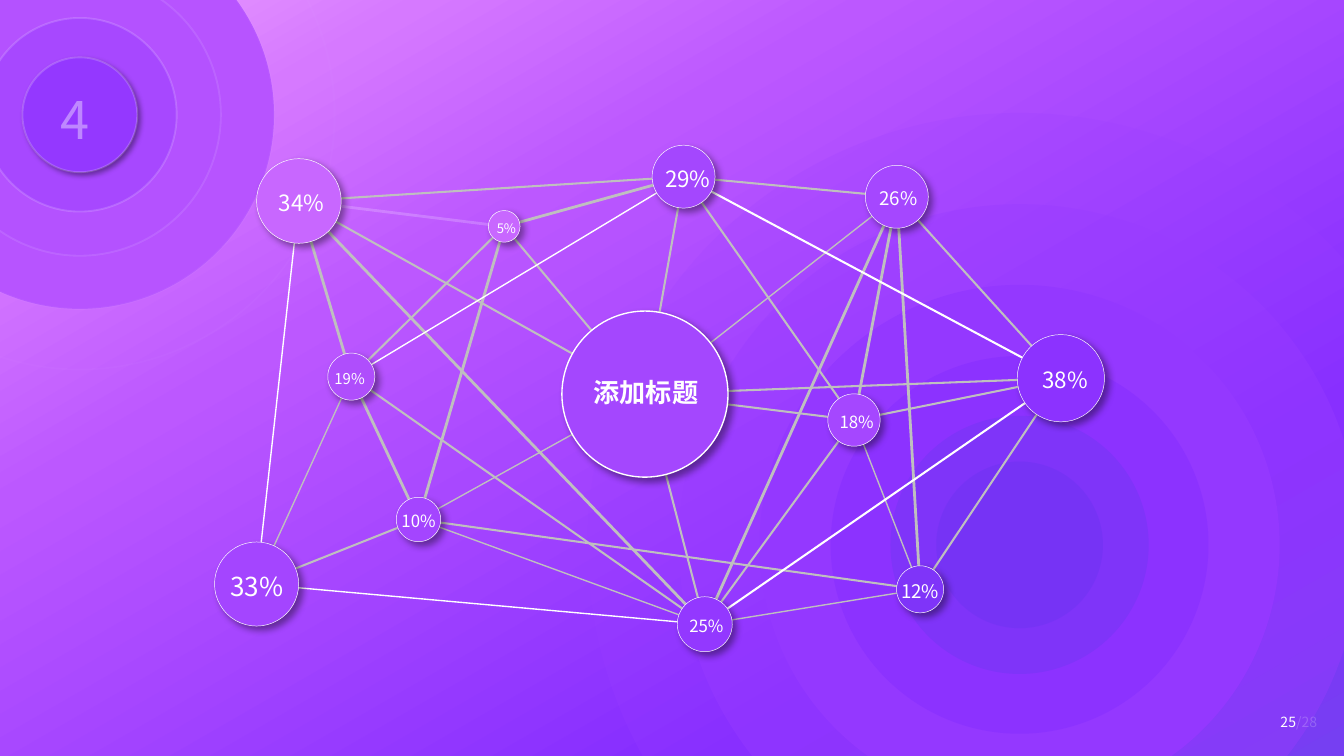
from dataclasses import dataclass
from pptx import Presentation
from pptx.dml.color import RGBColor
from pptx.enum.shapes import MSO_CONNECTOR, MSO_SHAPE
from pptx.enum.text import MSO_ANCHOR, MSO_AUTO_SIZE, PP_ALIGN
from pptx.oxml import parse_xml
from pptx.oxml.ns import nsdecls, qn
from pptx.util import Cm, Pt

OVAL, RECTANGLE = MSO_SHAPE.OVAL, MSO_SHAPE.RECTANGLE
STRAIGHT = MSO_CONNECTOR.STRAIGHT
CENTER, LEFT = PP_ALIGN.CENTER, PP_ALIGN.LEFT
MIDDLE = MSO_ANCHOR.MIDDLE
NO_FIT = MSO_AUTO_SIZE.NONE


@dataclass(frozen=True)
class Theme:
    font: str = "Noto Sans CJK SC"
    white: str = "FFFFFF"
    gray: str = "BFBFBF"
    gradient: tuple = ((0, "ECA3FF"), (16, "D679FF"), (33, "BC58FF"),
                       (77, "832BFF"), (100, "6D3FEF"))
    gradient_angle: int = 60
    chapter_size: float = 28
    title_size: float = 14
    page_size: float = 7.5
    fine: float = 0.75
    medium: float = 1.1
    bold: float = 1.5


THEME = Theme()
WIDTH, HEIGHT = 25.4, 14.29
TITLE, CHAPTER = "添加标题", "4"
PAGE_NUMBER = (("25", 100), ("/28", 20))

CHAPTER_CENTER = (1.51, 2.17)
CHAPTER_RINGS = [(7.34, "B754FF", 4), (5.33, "B452FF", 9), (3.66, "A748FF", 16),
                 (2.17, "9438FF", 18), (9.63, None, 2)]
TARGET_CENTER = (19.27, 10.3)
TARGET_RINGS = [(16.33, "9C3FFF", 20), (12.88, "993CFF", 40), (9.83, "9438FF", 100),
                (7.14, "872EFF", 60), (4.88, "7736F6", 60), (3.15, "6933F1", 40)]

HUB = (12.19, 7.45, 3.14, "A447FE")
NODES = {
    "38%": (20.05, 7.15, 1.65, "8C32FF", 12, 1.7, 0.08),
    "29%": (12.92, 3.34, 1.19, "A447FE", 12, 1.55, 0.08),
    "33%": (4.85, 11.04, 1.59, "A445FF", 14, 1.75, 0.01),
    "25%": (13.32, 11.8, 1.04, "9338FF", 9, 1.75, 0.03),
    "34%": (5.65, 3.8, 1.6, "C867FF", 12, 1.55, 0.05),
    "26%": (16.95, 3.72, 1.19, "A547FF", 10, 1.55, 0.03),
    "18%": (16.14, 7.94, 0.99, "A547FF", 9, 1.75, 0.05),
    "5%": (9.53, 4.28, 0.6, "C867FF", 7, 1.1, 0.04),
    "19%": (6.64, 7.12, 0.89, "AF4EFC", 8, 1.3, -0.03),
    "12%": (17.39, 11.14, 0.89, "7F34F9", 10, 1.75, 0),
    "10%": (7.91, 9.82, 0.84, "A445FF", 9, 1.3, 0),
}
LINKS = [
    (THEME.white, 20, THEME.bold, [("34%", "5%")]),
    (THEME.gray, 100, THEME.fine, [
        ("10%", TITLE), ("33%", "19%"), ("10%", "25%"), ("25%", "12%"),
        ("12%", "18%"), ("26%", TITLE)]),
    (THEME.gray, 100, THEME.medium, [
        ("34%", TITLE), ("5%", "19%"), ("33%", "10%"), ("18%", "25%"),
        ("25%", TITLE), ("18%", TITLE), ("18%", "38%"), ("12%", "38%"),
        ("34%", "29%"), ("5%", TITLE), ("29%", TITLE), ("29%", "26%"),
        ("26%", "38%"), ("29%", "18%"), ("19%", "25%"), (TITLE, "38%"),
        ("10%", "12%")]),
    (THEME.gray, 100, THEME.bold, [
        ("34%", "19%"), ("19%", "10%"), ("5%", "10%"), ("5%", "29%"),
        ("26%", "18%"), ("26%", "12%"), ("26%", "25%"), ("34%", "25%")]),
    (THEME.white, 100, THEME.fine, [
        ("33%", "25%"), ("34%", "33%"), ("29%", "19%")]),
    (THEME.white, 100, THEME.medium, [("25%", "38%"), ("29%", "38%")]),
]


def fade(element, alpha):
    if alpha < 100:
        color = element.find(qn("a:solidFill")).find(qn("a:srgbClr"))
        color.append(parse_xml(f'<a:alpha {nsdecls("a")} val="{alpha * 1000}"/>'))


def paint_line(shape, color, width, alpha=100):
    shape.line.color.rgb = RGBColor.from_string(color)
    shape.line.width = Pt(width)
    fade(shape._element.spPr.find(qn("a:ln")), alpha)


def add_disc(page, center, diameter, color, alpha=100):
    left, top = (value - diameter / 2 for value in center)
    disc = page.shapes.add_shape(OVAL, Cm(left), Cm(top), Cm(diameter), Cm(diameter))
    disc.shadow.inherit = False
    disc.line.fill.background()
    if color is None:
        disc.fill.background()
    else:
        disc.fill.solid()
        disc.fill.fore_color.rgb = RGBColor.from_string(color)
        fade(disc._element.spPr, alpha)
    return disc


def cast_shadow(shape, blur, distance):
    effects = shape._element.spPr.find(qn("a:effectLst"))
    effects.append(parse_xml(
        f'<a:outerShdw {nsdecls("a")} blurRad="{Pt(blur)}" dist="{Pt(distance)}" '
        'dir="2700000" algn="tl" rotWithShape="0"><a:srgbClr val="000000">'
        '<a:alpha val="40000"/></a:srgbClr></a:outerShdw>'))


def write(box, spans, size, align=CENTER, inset=0, bold=False):
    frame = box.text_frame
    frame.word_wrap, frame.auto_size = True, NO_FIT
    frame.vertical_anchor = MIDDLE
    frame.margin_left = Cm(inset)
    frame.margin_right = frame.margin_top = frame.margin_bottom = 0
    para = frame.paragraphs[0]
    para.alignment = align
    font = para.font
    font.name, font.size, font.bold = THEME.font, Pt(size), bold
    font._element.append(parse_xml(f'<a:ea {nsdecls("a")} typeface="{THEME.font}"/>'))
    for text, alpha in spans:
        span = para.add_run()
        span.text = text
        span.font.color.rgb = RGBColor.from_string(THEME.white)
        fade(span._r.rPr, alpha)


def add_text(page, left, top, width, height, *style, **options):
    box = page.shapes.add_textbox(Cm(left), Cm(top), Cm(width), Cm(height))
    write(box, *style, **options)


def add_backdrop(page):
    backdrop = page.shapes.add_shape(RECTANGLE, 0, 0, Cm(WIDTH), Cm(HEIGHT))
    backdrop.shadow.inherit = False
    backdrop.line.fill.background()
    stops = "".join(f'<a:gs pos="{place * 1000}"><a:srgbClr val="{color}"/></a:gs>'
                    for place, color in THEME.gradient)
    backdrop._element.spPr.find(qn("a:prstGeom")).addnext(parse_xml(
        f'<a:gradFill {nsdecls("a")} rotWithShape="1"><a:gsLst>{stops}</a:gsLst>'
        f'<a:lin ang="{THEME.gradient_angle * 60000}" scaled="0"/></a:gradFill>'))


def add_link(page, start, end, color, alpha, width):
    link = page.shapes.add_connector(STRAIGHT, *(Cm(value) for value in (*start, *end)))
    paint_line(link, color, width, alpha)
    link._element.spPr.append(parse_xml(f'<a:effectLst {nsdecls("a")}/>'))


deck = Presentation()
deck.slide_width, deck.slide_height = Cm(WIDTH), Cm(HEIGHT)
page = deck.slides.add_slide(deck.slide_layouts[5])
add_backdrop(page)

for diameter, color, alpha in CHAPTER_RINGS:
    ring = add_disc(page, CHAPTER_CENTER, diameter, color)
    paint_line(ring, THEME.white, 1, alpha)
    if color == "9438FF":
        cast_shadow(ring, 3, 2)
add_text(page, 0.94, 1.52, 0.9, 1.45, [(CHAPTER, 40)], THEME.chapter_size,
         align=LEFT, inset=0.2)

for diameter, color, alpha in TARGET_RINGS:
    add_disc(page, TARGET_CENTER, diameter, color, alpha)

centers = {label: node[:2] for label, node in NODES.items()}
centers[TITLE] = HUB[:2]
for color, alpha, width, pairs in LINKS:
    for start, end in pairs:
        add_link(page, centers[start], centers[end], color, alpha, width)

for label, (x, y, diameter, color, size, width, shift) in NODES.items():
    node = add_disc(page, (x, y), diameter, color)
    paint_line(node, THEME.white, 0.25)
    cast_shadow(node, 4, 3)
    height = 0.051 * size + 0.15
    add_text(page, x + shift - width / 2, y + 0.03 - height / 2, width, height,
             [(label, 100)], size)

x, y, diameter, color = HUB
hub = add_disc(page, (x, y), diameter, color)
paint_line(hub, THEME.white, 0.75)
cast_shadow(hub, 4, 3)
title = page.shapes.title
title.left, title.top, title.width, title.height = Cm(10.52), Cm(6.99), Cm(3.38), Cm(0.86)
write(title, [(TITLE, 100)], THEME.title_size, bold=True)
hub._element.addnext(title._element)

add_text(page, 23.95, 13.36, 1.37, 0.58, PAGE_NUMBER, THEME.page_size,
         align=LEFT, inset=0.25)
deck.save("out.pptx")
